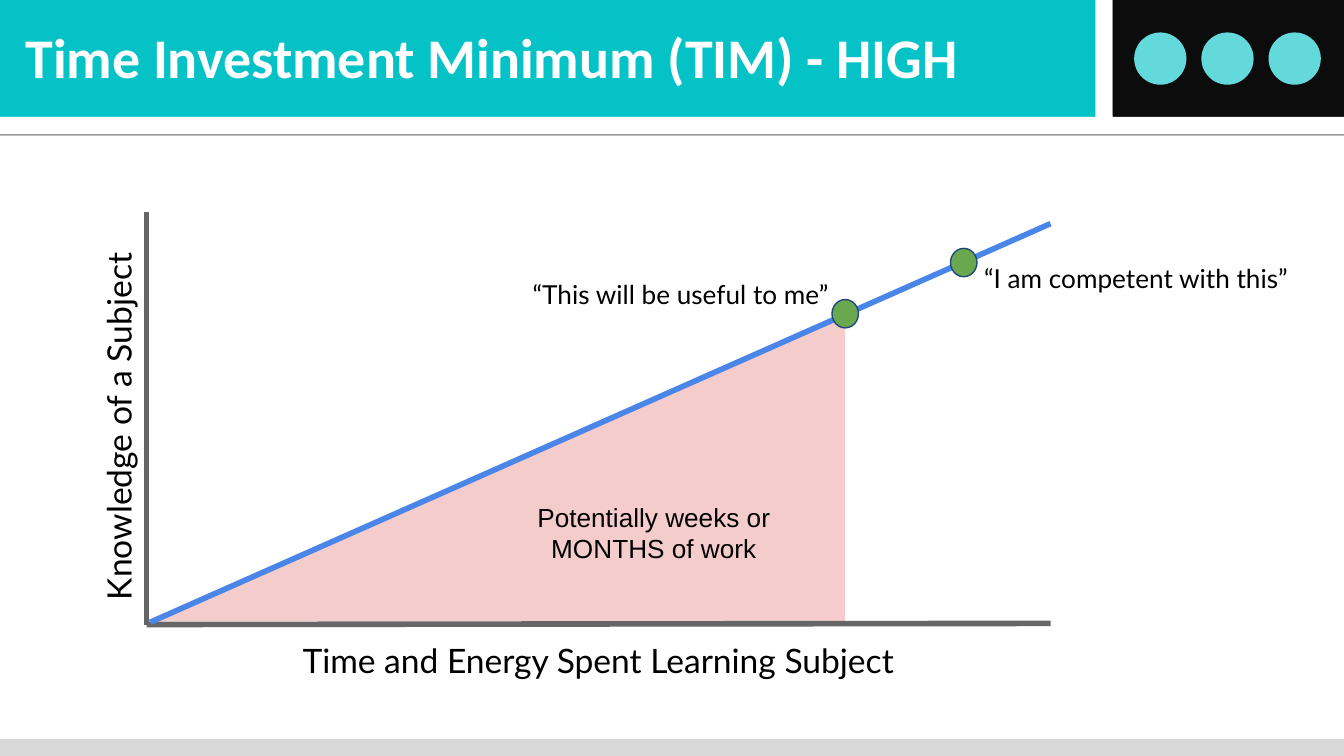
from typing import NamedTuple, Optional

import pptx
import pptx.dml.color
import pptx.enum.shapes
import pptx.enum.text
import pptx.oxml
import pptx.oxml.ns
import pptx.util

Pt = pptx.util.Pt
SHAPE = pptx.enum.shapes.MSO_SHAPE
ALIGN = pptx.enum.text.PP_ALIGN
ANCHOR = pptx.enum.text.MSO_ANCHOR
NS = pptx.oxml.ns.nsdecls("a")


class Box(NamedTuple):
    left: float
    top: float
    width: float
    height: float


class Figure(NamedTuple):
    kind: int
    box: Box
    fill: str
    outline: Optional[str] = None
    shadow_angle: Optional[int] = None
    flipped: bool = False


class Line(NamedTuple):
    start: tuple[float, float]
    end: tuple[float, float]
    color: str


class Label(NamedTuple):
    text: str
    box: Box
    size: float = 14
    font: str = "Lato"
    anchor: int = ANCHOR.TOP
    rotation: float = 0


def rgb(color: str) -> pptx.dml.color.RGBColor:
    return pptx.dml.color.RGBColor.from_string(color)


def place(shape, box: Box) -> None:
    shape.left, shape.top, shape.width, shape.height = map(Pt, box)


def add_edge_shadow(shape, angle: int) -> None:
    """Add a sharp one-point shadow in the given direction in degrees."""
    effects = shape._element.spPr.find(pptx.oxml.ns.qn("a:effectLst"))
    effects.append(pptx.oxml.parse_xml(
        f'<a:outerShdw {NS} dist="12700" dir="{angle * 60000}" rotWithShape="0">'
        '<a:srgbClr val="000000"><a:alpha val="40000"/></a:srgbClr></a:outerShdw>'))


def draw_figure(slide, figure: Figure) -> None:
    shape = slide.shapes.add_shape(figure.kind, *map(Pt, figure.box))
    shape.shadow.inherit = False
    shape.fill.solid()
    shape.fill.fore_color.rgb = rgb(figure.fill)
    if figure.outline:
        shape.line.color.rgb = rgb(figure.outline)
        shape.line.width = Pt(0.75)
    else:
        shape.line.fill.background()
    if figure.shadow_angle is not None:
        add_edge_shadow(shape, figure.shadow_angle)
    if figure.flipped:
        shape._element.spPr.xfrm.set("flipH", "1")


def draw_line(slide, line: Line) -> None:
    connector = slide.shapes.add_connector(
        pptx.enum.shapes.MSO_CONNECTOR.STRAIGHT, *map(Pt, line.start + line.end))
    connector.line.color.rgb = rgb(line.color)
    connector.line.width = Pt(3)
    connector._element.spPr.append(pptx.oxml.parse_xml(f"<a:effectLst {NS}/>"))


def write(shape, text: str, *, size: float, font: str, color: str = "000000",
          bold: bool = False, align: int = ALIGN.CENTER, anchor: int = ANCHOR.TOP,
          inset: tuple[float, float] = (7.2, 7.2)) -> None:
    frame = shape.text_frame
    frame.text = text
    frame.word_wrap = True
    frame.auto_size = pptx.enum.text.MSO_AUTO_SIZE.NONE
    frame.vertical_anchor = anchor
    frame.margin_left = frame.margin_right = Pt(inset[0])
    frame.margin_top = frame.margin_bottom = Pt(inset[1])
    paragraph = frame.paragraphs[0]
    paragraph.alignment = align
    run_font = paragraph.runs[0].font
    run_font.name, run_font.size, run_font.bold = font, Pt(size), bold
    run_font.color.rgb = rgb(color)


def draw_label(slide, label: Label) -> None:
    box = slide.shapes.add_textbox(*map(Pt, label.box))
    box.rotation = label.rotation
    write(box, label.text, size=label.size, font=label.font, anchor=label.anchor)


def milestone(left: float, top: float) -> Figure:
    return Figure(SHAPE.OVAL, Box(left, top, 14.2, 15.2), "6AA84F", outline="1F497D")


HEADER_HEIGHT = 62.7
FRAME = [
    Figure(SHAPE.RECTANGLE, Box(0, 396, 720, 9), "D8D8D8"),
    Figure(SHAPE.RECTANGLE, Box(0, 0, 587, HEADER_HEIGHT), "05C2C7"),
    Figure(SHAPE.RECTANGLE, Box(596, 0, 124, HEADER_HEIGHT), "0C0C0C"),
    Figure(SHAPE.RECTANGLE, Box(587, 0, 9, HEADER_HEIGHT), "FFFFFF", shadow_angle=315),
    Figure(SHAPE.RECTANGLE, Box(0, HEADER_HEIGHT, 720, 9), "FFFFFF", shadow_angle=90),
    *(Figure(SHAPE.OVAL, Box(607.6 + 36 * i, 17.4, 28, 28), "64D9DC") for i in range(3)),
]
WORK_AREA = Figure(SHAPE.RIGHT_TRIANGLE, Box(82.8, 167.2, 370, 165.6), "F4CCCC", flipped=True)
AXES = [
    Line((78.6, 334.6), (562.8, 334), "666666"),
    Line((78.6, 113.6), (78.6, 334.6), "666666"),
]
LEARNING_CURVE = Line((80.4, 333.4), (562.8, 119.8), "4A86E8")
MILESTONES = [milestone(445.7, 160.5), milestone(509.2, 133.1)]
LABELS = [
    Label("Time and Energy Spent Learning Subject", Box(150.3, 333.6, 340.6, 39.6),
          size=18, anchor=ANCHOR.MIDDLE),
    Label("Knowledge of a Subject", Box(-107, 208.6, 340.6, 39.6),
          size=18, anchor=ANCHOR.MIDDLE, rotation=270),
    Label("“This will be useful to me”", Box(269.3, 141.8, 190.8, 30.2)),
    Label("“I am competent with this”", Box(513.2, 133.2, 190.8, 30.2)),
    Label("Potentially weeks or MONTHS of work", Box(273.6, 261.4, 153.4, 43.2), font="Arial"),
]


def main() -> None:
    deck = pptx.Presentation()
    deck.slide_width, deck.slide_height = Pt(720), Pt(405)
    slide = deck.slides.add_slide(deck.slide_layouts.get_by_name("Title Only"))
    for figure in FRAME:
        draw_figure(slide, figure)

    title = slide.shapes.title
    place(title, Box(8.6, 9.2, 531.4, 22.3))
    write(title, "Time Investment Minimum (TIM) - HIGH", size=30, font="Calibri",
          color="FFFFFF", bold=True, align=ALIGN.LEFT, inset=(5, 2.9))
    # The title comes first in the tree, so lift it above the header band.
    slide.shapes._spTree.append(title._element)

    draw_figure(slide, WORK_AREA)
    for line in [*AXES, LEARNING_CURVE]:
        draw_line(slide, line)
    for point in MILESTONES:
        draw_figure(slide, point)
    for label in LABELS:
        draw_label(slide, label)
    deck.save("out.pptx")


if __name__ == "__main__":
    main()
